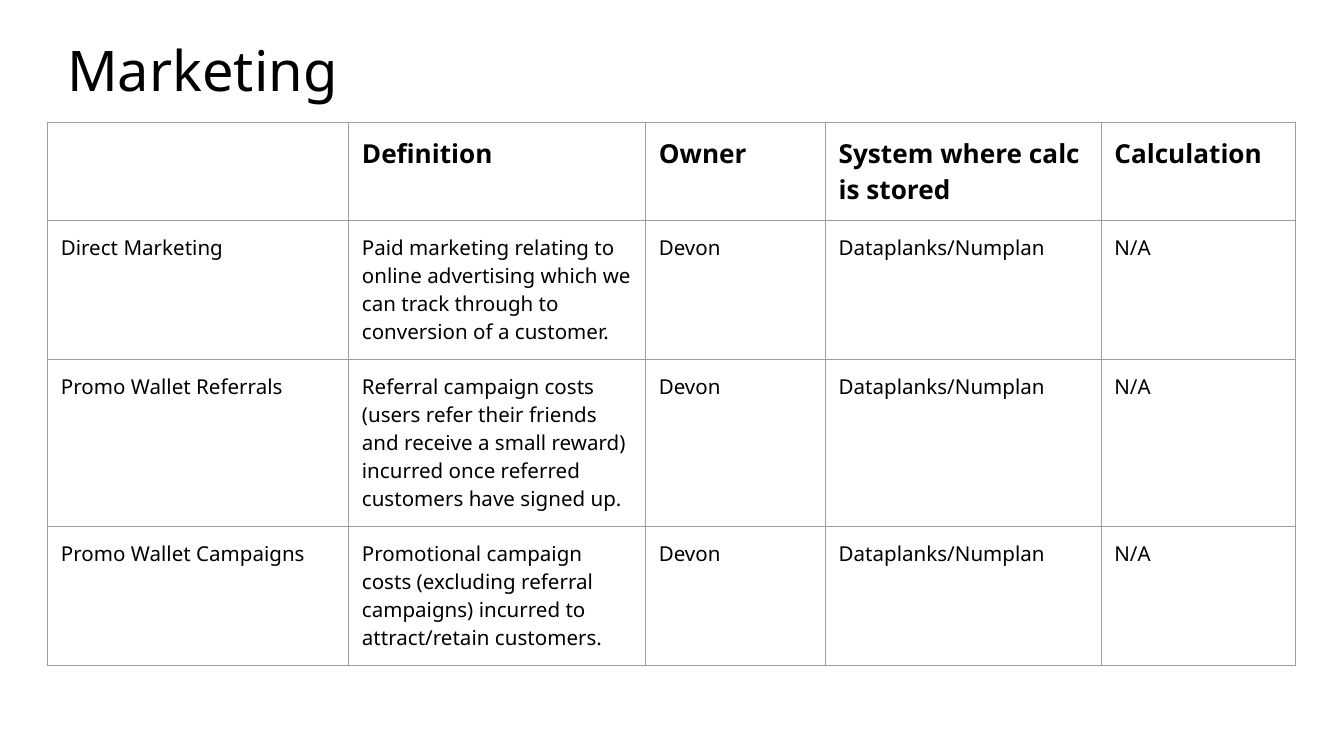
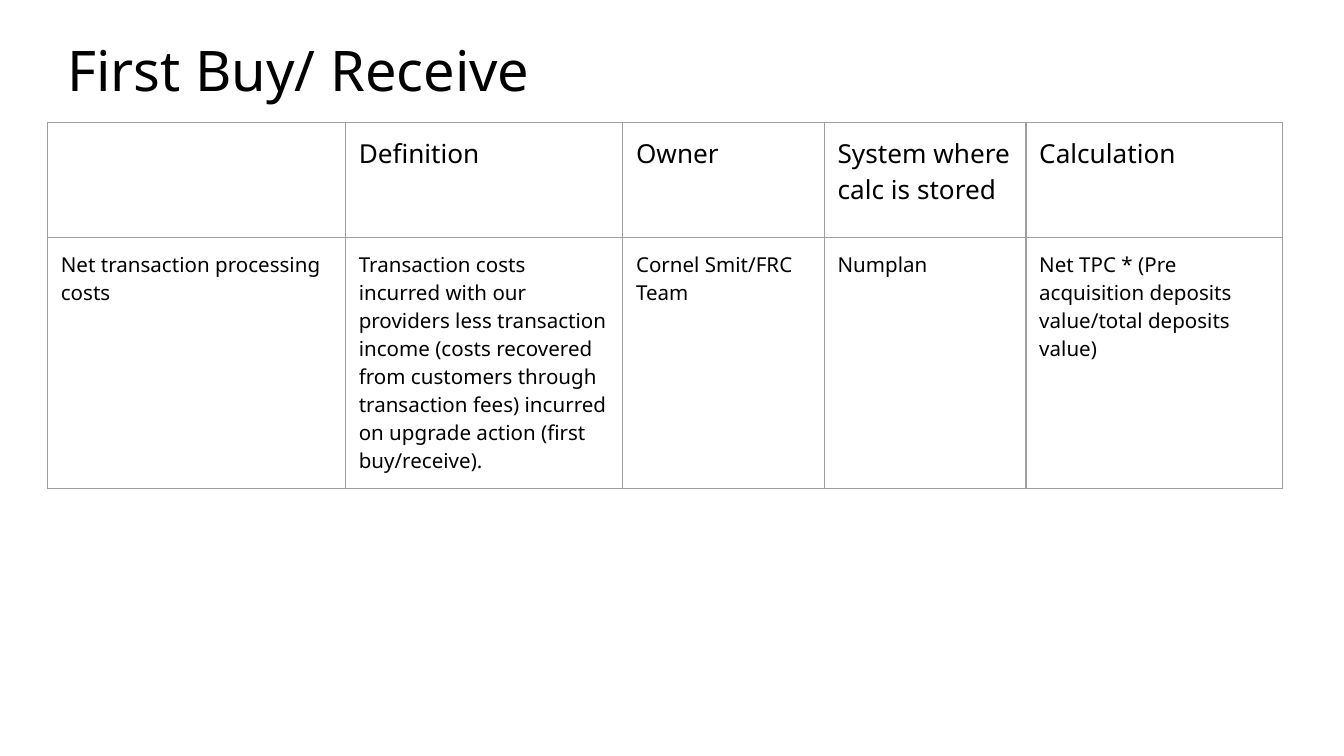
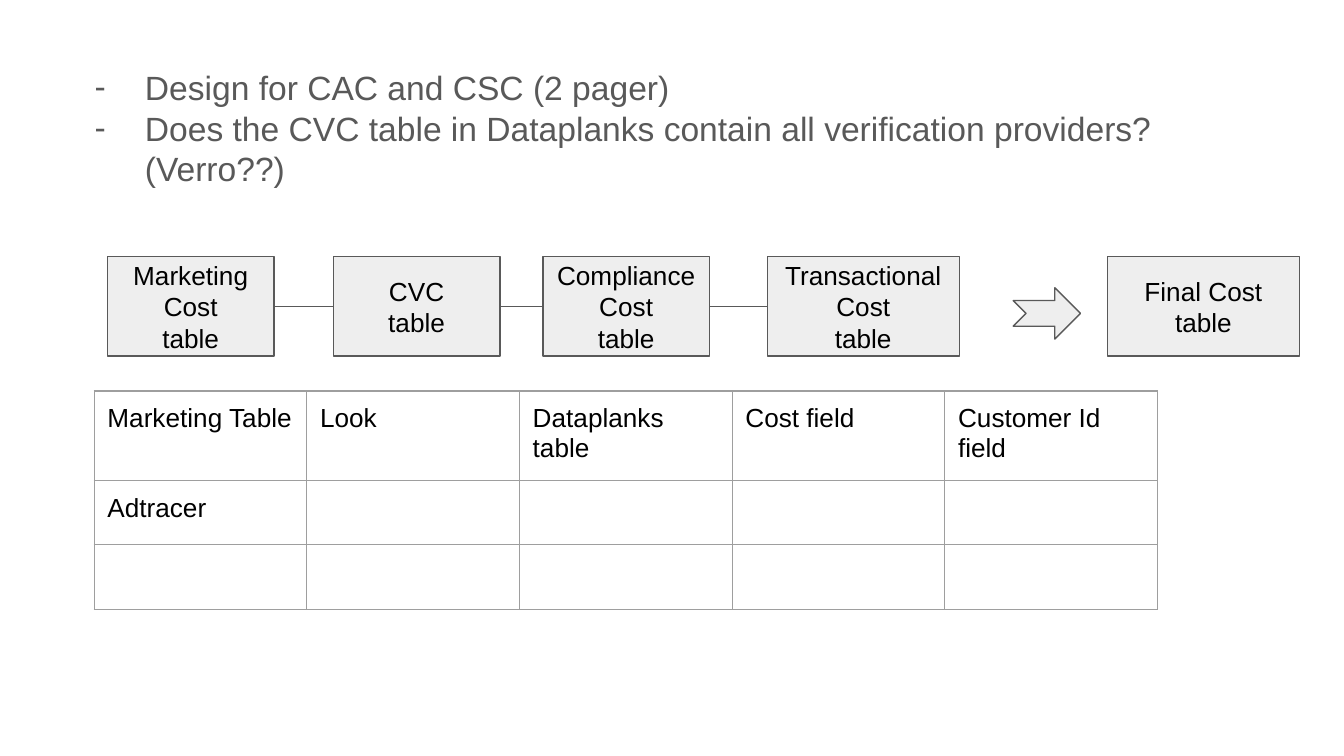
import pptx
import pptx.dml.color
import pptx.enum.shapes
import pptx.enum.text
import pptx.oxml
import pptx.oxml.ns
import pptx.util
from lxml import etree

Cm = pptx.util.Cm
Pt = pptx.util.Pt
qn = pptx.oxml.ns.qn
SHAPE = pptx.enum.shapes.MSO_SHAPE

COLORS = {"text": "000000", "muted": "595959", "box": "EEEEEE",
          "border": "9E9E9E", "background": "FFFFFF"}
HEADING_FONT = "Noto Sans"
BODY_FONT = "Arial"
INSET = Cm(0.25)
LINE_WIDTH = Pt(0.75)
HEADINGS = ["", "Definition", "Owner", "System where calc is stored", "Calculation"]


def rgb(name):
    return pptx.dml.color.RGBColor.from_string(COLORS[name])


def set_font(p, name, size, color="text", bold=False):
    p.font.name = name
    p.font.size = Pt(size)
    p.font.bold = bold
    p.font.color.rgb = rgb(color)


def set_frame(tf):
    tf.word_wrap = True
    tf.margin_left = tf.margin_right = tf.margin_top = tf.margin_bottom = INSET


def add_text_box(s, box):
    tf = s.shapes.add_textbox(*map(Cm, box)).text_frame
    set_frame(tf)
    return tf


def new_slide(prs):
    s = prs.slides.add_slide(prs.slide_layouts[6])
    s.background.fill.solid()
    s.background.fill.fore_color.rgb = rgb("background")
    return s


def add_title(s, text):
    p = add_text_box(s, (1.02, 0.43, 23.32, 1.75)).paragraphs[0]
    p.text = text
    set_font(p, HEADING_FONT, 30)


def set_borders(cell):
    tc_pr = cell._tc.get_or_add_tcPr()
    for side in ("lnL", "lnR", "lnT", "lnB"):
        ln = etree.SubElement(tc_pr, qn(f"a:{side}"), w=str(LINE_WIDTH))
        fill = etree.SubElement(ln, qn("a:solidFill"))
        etree.SubElement(fill, qn("a:srgbClr"), val=COLORS["border"])


def add_grid(s, left, top, widths, heights, rows, font, sizes, bold_header=False):
    """Add a bordered table; sizes gives the header and body text sizes."""
    table = s.shapes.add_table(len(heights), len(widths), Cm(left), Cm(top),
                               Cm(sum(widths)), Cm(sum(heights))).table
    table.first_row = table.horz_banding = False
    for column, width in zip(table.columns, widths):
        column.width = Cm(width)
    for i, (row, height, texts) in enumerate(zip(table.rows, heights, rows)):
        row.height = Cm(height)
        for cell, text in zip(row.cells, texts):
            set_borders(cell)
            cell.fill.background()
            cell.margin_left = cell.margin_right = INSET
            cell.margin_top = cell.margin_bottom = INSET
            p = cell.text_frame.paragraphs[0]
            p.text = text
            set_font(p, font, sizes[min(i, 1)], bold=bold_header and i == 0)


def definition_slide(prs, title, widths, heights, rows, bold_header=False):
    s = new_slide(prs)
    add_grid(s, 0.9, 2.32, widths, heights, [HEADINGS] + rows,
             HEADING_FONT, (14, 11), bold_header)
    add_title(s, title)


def add_bullets(s, box, items):
    tf = add_text_box(s, box)
    for i, item in enumerate(items):
        p = tf.add_paragraph() if i else tf.paragraphs[0]
        p.text = item
        p_pr = p._p.get_or_add_pPr()
        p_pr.set("marL", str(Cm(1.27)))
        p_pr.set("indent", str(-Cm(0.95)))
        color = etree.SubElement(p_pr, qn("a:buClr"))
        etree.SubElement(color, qn("a:srgbClr"), val=COLORS["muted"])
        etree.SubElement(p_pr, qn("a:buSzPts"), val="1800")
        etree.SubElement(p_pr, qn("a:buFont"), typeface=BODY_FONT)
        etree.SubElement(p_pr, qn("a:buChar"), char="-")
        set_font(p, BODY_FONT, 18, "muted")


def add_flow_shape(s, kind, box):
    sp = s.shapes.add_shape(kind, *map(Cm, box))
    sp.shadow.inherit = False
    sp.fill.solid()
    sp.fill.fore_color.rgb = rgb("box")
    sp.line.color.rgb = rgb("muted")
    sp.line.width = LINE_WIDTH
    return sp


def add_flow_box(s, box, name):
    sp = add_flow_shape(s, SHAPE.RECTANGLE, box)
    tf = sp.text_frame
    set_frame(tf)
    tf.vertical_anchor = pptx.enum.text.MSO_ANCHOR.MIDDLE
    tf.text = f"{name}\ntable"
    for p in tf.paragraphs:
        p.alignment = pptx.enum.text.PP_ALIGN.CENTER
        set_font(p, BODY_FONT, 14)
    return sp


def add_link(s, start, end):
    line = s.shapes.add_connector(pptx.enum.shapes.MSO_CONNECTOR.STRAIGHT, 0, 0, 0, 0)
    line.begin_connect(start, 3)
    line.end_connect(end, 1)
    line.line.color.rgb = rgb("muted")
    line.line.width = LINE_WIDTH
    etree.SubElement(line._element.spPr, qn("a:effectLst"))


def add_cost_flow(s, left, top):
    """Linked source tables, then an arrow to the final table."""
    height, narrow, wide = 1.88, 3.15, 3.63
    sources = [("Marketing Cost", 0, narrow), ("CVC", 4.27, narrow),
               ("Compliance Cost", 8.23, narrow), ("Transactional Cost", 12.47, wide)]
    boxes = [add_flow_box(s, (left + x, top, width, height), name)
             for name, x, width in sources]
    for start, end in zip(boxes, boxes[1:]):
        add_link(s, start, end)
    add_flow_shape(s, SHAPE.NOTCHED_RIGHT_ARROW, (left + 17.12, top + 0.59, 1.27, 0.97))
    add_flow_box(s, (left + 18.9, top, wide, height), "Final Cost")


def design_slide(prs):
    s = new_slide(prs)
    add_bullets(s, (1.22, 1.02, 22.38, 11.56), [
        "Design for CAC and CSC (2 pager)",
        "Does the CVC table in Dataplanks contain all verification providers? (Verro??)",
    ])
    add_cost_flow(s, 2.03, 4.85)
    add_grid(s, 1.78, 7.39, [4.02] * 5, [1.63, 1.22, 1.22], [
        ["Marketing Table", "Look", "Dataplanks table", "Cost field", "Customer Id field"],
        ["Adtracer", "", "", "", ""],
        [""] * 5,
    ], BODY_FONT, (14, 14))


def main():
    prs = pptx.Presentation()
    prs.slide_width, prs.slide_height = Cm(25.4), Cm(14.29)
    shared = ["Devon", "Dataplanks/Numplan", "N/A"]
    definition_slide(prs, "Marketing", [5.69, 5.61, 3.4, 5.21, 3.68],
                     [1.85, 2.63, 3.15, 2.63], [
        ["Direct Marketing",
         "Paid marketing relating to online advertising which we can track through "
         "to conversion of a customer."] + shared,
        ["Promo Wallet Referrals",
         "Referral campaign costs (users refer their friends and receive a small reward) "
         "incurred once referred customers have signed up."] + shared,
        ["Promo Wallet Campaigns",
         "Promotional campaign costs (excluding referral campaigns) incurred to "
         "attract/retain customers."] + shared,
    ], bold_header=True)
    definition_slide(prs, "First Buy/ Receive", [5.63, 5.24, 3.81, 3.81, 4.85],
                     [2.17, 4.75], [
        ["Net transaction processing costs",
         "Transaction costs incurred with our providers less transaction income (costs "
         "recovered from customers through transaction fees) incurred on upgrade action "
         "(first buy/receive).",
         "Cornel Smit/FRC Team", "Numplan",
         "Net TPC * (Pre acquisition deposits value/total deposits value)"],
    ])
    design_slide(prs)
    prs.save("out.pptx")


if __name__ == "__main__":
    main()
